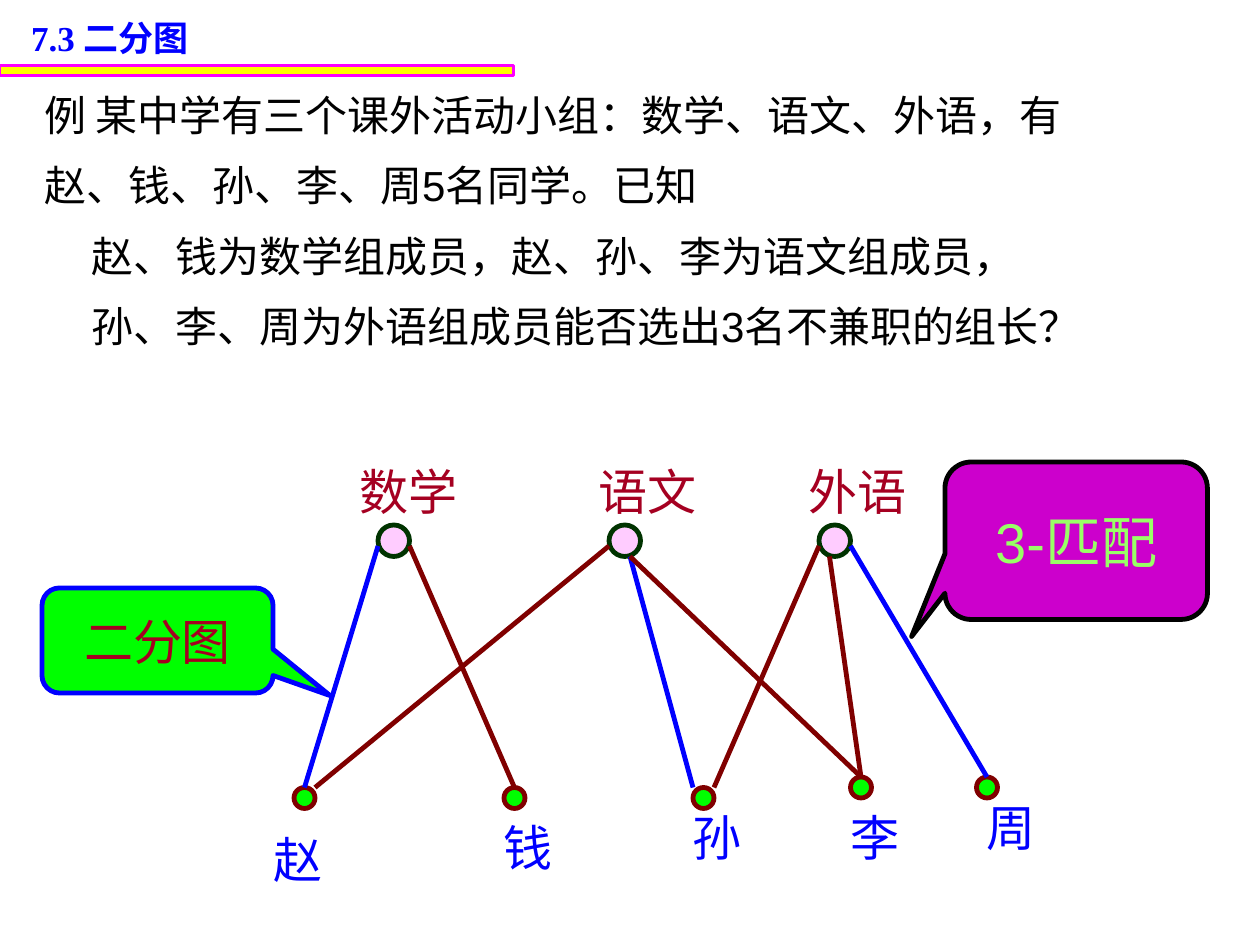
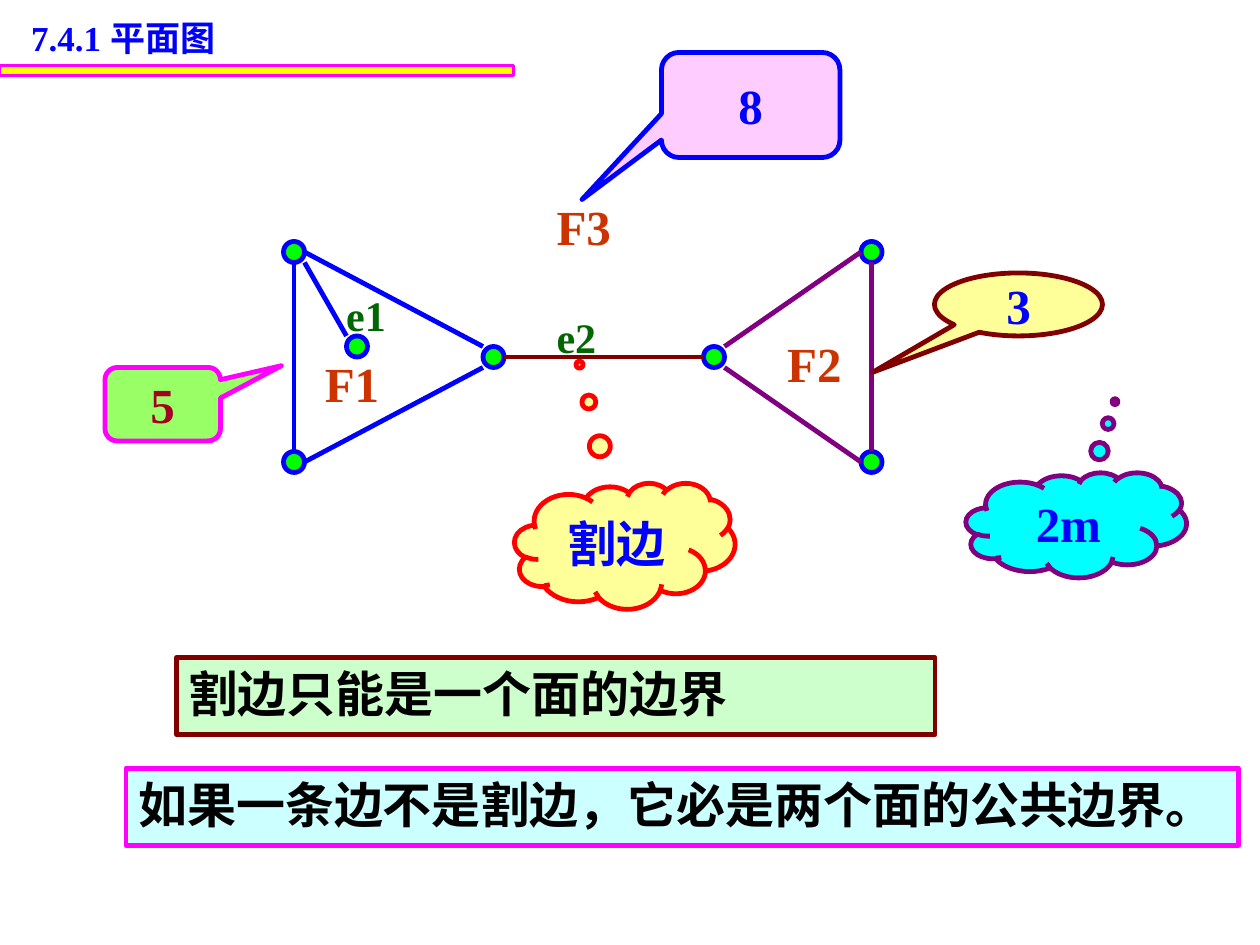
from lxml import etree
from pptx import Presentation
from pptx import util as u
from pptx.dml.color import RGBColor
from pptx.enum import shapes, text
from pptx.oxml import ns

Cm = u.Cm
SHAPE = shapes.MSO_SHAPE

# Colours
BLUE = RGBColor(0x00, 0x00, 0xFF)
MAROON = RGBColor(0x80, 0x00, 0x00)
PURPLE = RGBColor(0x80, 0x00, 0x80)
VIOLET = RGBColor(0xCC, 0x00, 0xCC)
MAGENTA = RGBColor(0xFF, 0x00, 0xFF)
CRIMSON = RGBColor(0xA5, 0x00, 0x21)
RED = RGBColor(0xFF, 0x00, 0x00)
RUST = RGBColor(0xCC, 0x33, 0x00)
BLACK = RGBColor(0x00, 0x00, 0x00)
YELLOW = RGBColor(0xFF, 0xFF, 0x00)
CREAM = RGBColor(0xFF, 0xFF, 0x99)
PINK = RGBColor(0xFF, 0xCC, 0xFF)
GREEN = RGBColor(0x00, 0xFF, 0x00)
DARK_GREEN = RGBColor(0x00, 0x33, 0x00)
EDGE_GREEN = RGBColor(0x00, 0x66, 0x00)
LIME = RGBColor(0x99, 0xFF, 0x66)
MINT = RGBColor(0xCC, 0xFF, 0xCC)
CYAN = RGBColor(0x00, 0xFF, 0xFF)
PALE_CYAN = RGBColor(0xCC, 0xFF, 0xFF)

SANS = "Arial"
SERIF = "Times New Roman"
STROKE = 2.75


def grid(*steps):
    """Turn steps of the drawing grid (twelve to 2.54 cm) into lengths."""
    return [Cm(2.54 * step / 12) for step in steps]


def cm(*values):
    return [Cm(value) for value in values]


def write(frame, lines, size=28, font=SANS, color=BLACK, bold=False,
          align=None, spacing=None, wrap=True, grow=True, indents=()):
    """Fill a text frame with one paragraph per line."""
    frame.word_wrap = wrap
    frame.auto_size = (text.MSO_AUTO_SIZE.SHAPE_TO_FIT_TEXT if grow
                       else text.MSO_AUTO_SIZE.NONE)
    for number, line in enumerate(lines):
        para = frame.paragraphs[0] if number == 0 else frame.add_paragraph()
        para.alignment = align
        if spacing:
            para.line_spacing = spacing
        if indents:
            para._p.get_or_add_pPr().set("marL", str(Cm(indents[number])))
        span = para.add_run()
        span.text = line
        span.font.size = u.Pt(size)
        span.font.name = font
        span.font.bold = bold
        span.font.color.rgb = color


def add_label(page, place, lines, **style):
    box = page.shapes.add_textbox(*cm(*place))
    write(box.text_frame, lines, **style)


def add_figure(page, kind, place, fill, line, width=STROKE):
    figure = page.shapes.add_shape(kind, *place)
    figure.shadow.inherit = False
    figure.fill.solid()
    figure.fill.fore_color.rgb = fill
    figure.line.color.rgb = line
    figure.line.width = u.Pt(width)
    return figure


def add_callout(page, kind, place, tip, words, fill, line, **style):
    callout = add_figure(page, kind, grid(*place), fill, line)
    for number, value in enumerate(tip):
        callout.adjustments[number] = value
    callout.text_frame.vertical_anchor = text.MSO_ANCHOR.MIDDLE
    write(callout.text_frame, [words], align=text.PP_ALIGN.CENTER,
          grow=False, **style)


def add_statement(page, place, words, fill, line, wrap):
    panel = add_figure(page, SHAPE.RECTANGLE, cm(*place), fill, line)
    panel.text_frame.vertical_anchor = text.MSO_ANCHOR.TOP
    write(panel.text_frame, [words], bold=True, wrap=wrap,
          align=text.PP_ALIGN.LEFT)


def add_nodes(page, corners, size, fill, line):
    for left, top in corners:
        add_figure(page, SHAPE.OVAL, grid(left, top, size, size), fill, line)


def add_edges(page, edges):
    for start, end, color in edges:
        edge = page.shapes.add_connector(
            shapes.MSO_CONNECTOR.STRAIGHT, *grid(*start, *end))
        edge.line.color.rgb = color
        edge.line.width = u.Pt(STROKE)
        etree.SubElement(edge._element.spPr, ns.qn("a:effectLst"))


def add_page(deck, title):
    """Start a page with the heading and the band under it."""
    page = deck.slides.add_slide(deck.slide_layouts[6])
    add_figure(page, SHAPE.RECTANGLE, cm(0, 1.32, 10.36, 0.2),
               YELLOW, MAGENTA, 1.75)
    add_label(page, (0.38, 0.2, 6.81, 1.09), [title],
              size=20, font=SERIF, color=BLUE, bold=True)
    return page


def add_bipartite_page(deck):
    page = add_page(deck, "7.3 二分图")
    add_label(page, (0.64, 1.27, 23.75, 6.02), [
        "例 某中学有三个课外活动小组：数学、语文、外语，有",
        "赵、钱、孙、李、周5名同学。已知",
        "赵、钱为数学组成员，赵、孙、李为语文组成员，",
        "孙、李、周为外语组成员能否选出3名不兼职的组长？",
    ], size=24, spacing=1.4, indents=(0, 0, 0.95, 0.95))

    # Groups above, students below
    add_nodes(page, [(36, 50), (58, 50), (78, 50)], 3, PINK, DARK_GREEN)
    for name, left in (("数学", 6.99), ("语文", 11.81), ("外语", 16.05)):
        add_label(page, (left, 9.17, 2.49, 1.45), [name],
                  color=CRIMSON, wrap=False)
    add_nodes(page, [(28, 75), (48, 75), (66, 75), (81, 74), (93, 74)],
              2, GREEN, MAROON)
    students = (("赵", 5.26, 16.59), ("钱", 9.91, 16.36), ("孙", 13.72, 16.15),
                ("李", 16.89, 16.15), ("周", 19.63, 15.95))
    for name, left, top in students:
        add_label(page, (left, top, 1.5, 1.45), [name],
                  color=BLUE, wrap=False)

    # Memberships, with the matching in blue
    add_edges(page, [
        ((36, 52), (29, 75), BLUE),
        ((39, 52), (49, 75), MAROON),
        ((30, 75), (58, 52), MAROON),
        ((60, 53), (66, 75), BLUE),
        ((60, 53), (82, 74), MAROON),
        ((78, 52), (68, 75), MAROON),
        ((79, 53), (82, 74), MAROON),
        ((81, 52), (94, 74), BLUE),
    ])

    rounded = SHAPE.ROUNDED_RECTANGULAR_CALLOUT
    add_callout(page, rounded, (4, 56, 22, 10), (0.747, 0.525), "二分图",
                GREEN, BLUE, color=CRIMSON)
    add_callout(page, rounded, (90, 44, 25, 15), (-0.627, 0.608), "3-匹配",
                VIOLET, BLACK, size=32, color=LIME)


def add_planar_page(deck):
    page = add_page(deck, "7.4.1 平面图")

    # Two triangles joined by a bridge
    add_nodes(page, [(27, 23), (27, 43), (46, 33), (67, 33),
                     (82, 23), (82, 43), (33, 32)], 2, GREEN, BLUE)
    add_edges(page, [
        ((28, 25), (28, 43), BLUE),
        ((29, 44), (46, 35), BLUE),
        ((29, 24), (46, 33), BLUE),
        ((29, 25), (33, 32), BLUE),
        ((48, 34), (67, 34), MAROON),
        ((69, 33), (82, 24), PURPLE),
        ((69, 35), (82, 44), PURPLE),
        ((83, 25), (83, 43), PURPLE),
    ])

    # Edge and face names
    for name, left, top in (("e1", 6.73, 5.72), ("e2", 10.97, 6.15)):
        add_label(page, (left, top, 1.3, 1.27), [name], size=24, font=SERIF,
                  color=EDGE_GREEN, bold=True, wrap=False)
    for name, left, top in (("F1", 6.3, 7.01), ("F2", 15.62, 6.6),
                            ("F3", 10.97, 3.84)):
        add_label(page, (left, top, 1.6, 1.45), [name], font=SERIF,
                  color=RUST, bold=True, wrap=False)

    # Statements
    add_statement(page, (2.54, 15.49, 22.43, 1.55),
                  "如果一条边不是割边，它必是两个面的公共边界。",
                  PALE_CYAN, MAGENTA, wrap=False)
    add_statement(page, (3.56, 13.26, 15.29, 1.55),
                  "割边只能是一个面的边界", MINT, MAROON, wrap=True)

    # Face degrees and remarks
    rounded = SHAPE.ROUNDED_RECTANGULAR_CALLOUT
    cloud = SHAPE.CLOUD_CALLOUT
    add_callout(page, cloud, (49, 46, 21, 12), (-0.205, -1.439), "割边",
                CREAM, RED, color=BLUE, bold=True)
    degrees = [
        (SHAPE.OVAL_CALLOUT, (89, 26, 16, 6), (-0.867, 1.076), "3",
         CREAM, MAROON, BLUE),
        (rounded, (10, 35, 11, 7), (1.028, -0.524), "5",
         LIME, MAGENTA, CRIMSON),
        (rounded, (63, 5, 17, 10), (-0.945, 0.9), "8", PINK, BLUE, BLUE),
        (cloud, (92, 45, 21, 10), (0.176, -1.175), "2m", CYAN, PURPLE, BLUE),
    ]
    for *callout, color in degrees:
        add_callout(page, *callout, color=color, font=SERIF, bold=True)


def main():
    deck = Presentation()
    deck.slide_width, deck.slide_height = cm(25.4, 19.05)
    add_bipartite_page(deck)
    add_planar_page(deck)
    deck.save("out.pptx")


if __name__ == "__main__":
    main()
